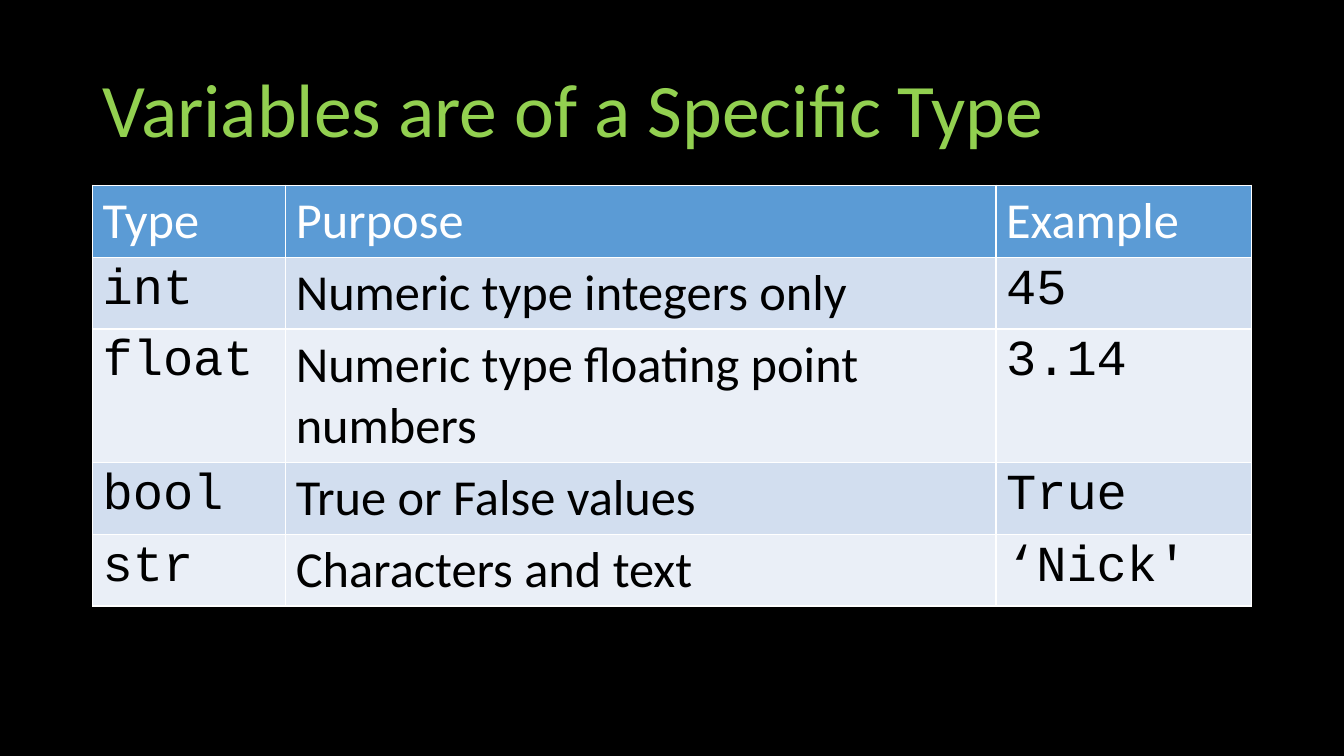
from dataclasses import dataclass

from pptx import Presentation
from pptx.dml.color import RGBColor
from pptx.enum.text import MSO_ANCHOR, MSO_AUTO_SIZE, PP_ALIGN
from pptx.util import Cm, Pt

LEFT = PP_ALIGN.LEFT
MIDDLE = MSO_ANCHOR.MIDDLE
NO_AUTOFIT = MSO_AUTO_SIZE.NONE

TITLE = "Variables are of a Specific Type"
HEADINGS = ("Type", "Purpose", "Example")
VARIABLE_TYPES = [
    ("int", "Numeric type integers only", "45"),
    ("float", "Numeric type floating point numbers", "3.14"),
    ("bool", "True or False values", "True"),
    ("str", "Characters and text", "‘Nick'"),
]
PURPOSE_COLUMN = HEADINGS.index("Purpose")


@dataclass(frozen=True)
class Theme:
    background: RGBColor = RGBColor(0x00, 0x00, 0x00)
    title: RGBColor = RGBColor(0x92, 0xD0, 0x50)
    heading_text: RGBColor = RGBColor(0xFF, 0xFF, 0xFF)
    body_text: RGBColor = RGBColor(0x00, 0x00, 0x00)
    heading_fill: RGBColor = RGBColor(0x5B, 0x9B, 0xD5)
    bands: tuple = (RGBColor(0xD2, 0xDE, 0xEF), RGBColor(0xEA, 0xEF, 0xF7))
    prose_font: str = "Calibri"
    code_font: str = "Courier New"
    title_size: Pt = Pt(54)
    table_size: Pt = Pt(36)


THEME = Theme()

MARGIN = Cm(2.33)
CONTENT_WIDTH = Cm(29.21)
TITLE_TOP, TITLE_HEIGHT = Cm(1.01), Cm(3.68)
TABLE_TOP = Cm(4.67)
COLUMN_WIDTHS = (Cm(4.87), Cm(17.9), Cm(6.44))
ROW_HEIGHT, TWO_LINE_ROW_HEIGHT = Cm(1.8), Cm(3.35)
ROW_HEIGHTS = [ROW_HEIGHT] + [
    TWO_LINE_ROW_HEIGHT if name == "float" else ROW_HEIGHT
    for name, _, _ in VARIABLE_TYPES
]


def style_text(paragraph, font_name, size, color):
    for run in paragraph.runs:
        run.font.name = font_name
        run.font.size = size
        run.font.bold = False
        run.font.color.rgb = color


def add_title(slide):
    title = slide.shapes.title
    title.left, title.top = MARGIN, TITLE_TOP
    title.width, title.height = CONTENT_WIDTH, TITLE_HEIGHT
    frame = title.text_frame
    frame.text = TITLE
    frame.word_wrap = True
    frame.auto_size = NO_AUTOFIT
    frame.vertical_anchor = MIDDLE
    paragraph = frame.paragraphs[0]
    paragraph.alignment = LEFT
    paragraph.line_spacing = 0.9
    style_text(paragraph, THEME.prose_font, THEME.title_size, THEME.title)


def fill_cell(cell, content, fill, font_name, color):
    cell.fill.solid()
    cell.fill.fore_color.rgb = fill
    cell.text_frame.text = content
    style_text(cell.text_frame.paragraphs[0], font_name, THEME.table_size, color)


def add_type_table(slide):
    table = slide.shapes.add_table(
        len(ROW_HEIGHTS), len(HEADINGS),
        MARGIN, TABLE_TOP, CONTENT_WIDTH, sum(ROW_HEIGHTS),
    ).table
    for column, width in zip(table.columns, COLUMN_WIDTHS):
        column.width = width
    for row, height in zip(table.rows, ROW_HEIGHTS):
        row.height = height

    for col, heading in enumerate(HEADINGS):
        fill_cell(table.cell(0, col), heading, THEME.heading_fill,
                  THEME.prose_font, THEME.heading_text)
    for index, variable_type in enumerate(VARIABLE_TYPES):
        band = THEME.bands[index % len(THEME.bands)]
        for col, content in enumerate(variable_type):
            font_name = THEME.prose_font if col == PURPOSE_COLUMN else THEME.code_font
            fill_cell(table.cell(index + 1, col), content, band,
                      font_name, THEME.body_text)


def main():
    presentation = Presentation()
    presentation.slide_width, presentation.slide_height = Cm(33.87), Cm(19.05)
    title_only = presentation.slide_layouts.get_by_name("Title Only")
    slide = presentation.slides.add_slide(title_only)
    slide.background.fill.solid()
    slide.background.fill.fore_color.rgb = THEME.background
    add_title(slide)
    add_type_table(slide)
    presentation.save("out.pptx")


if __name__ == "__main__":
    main()
